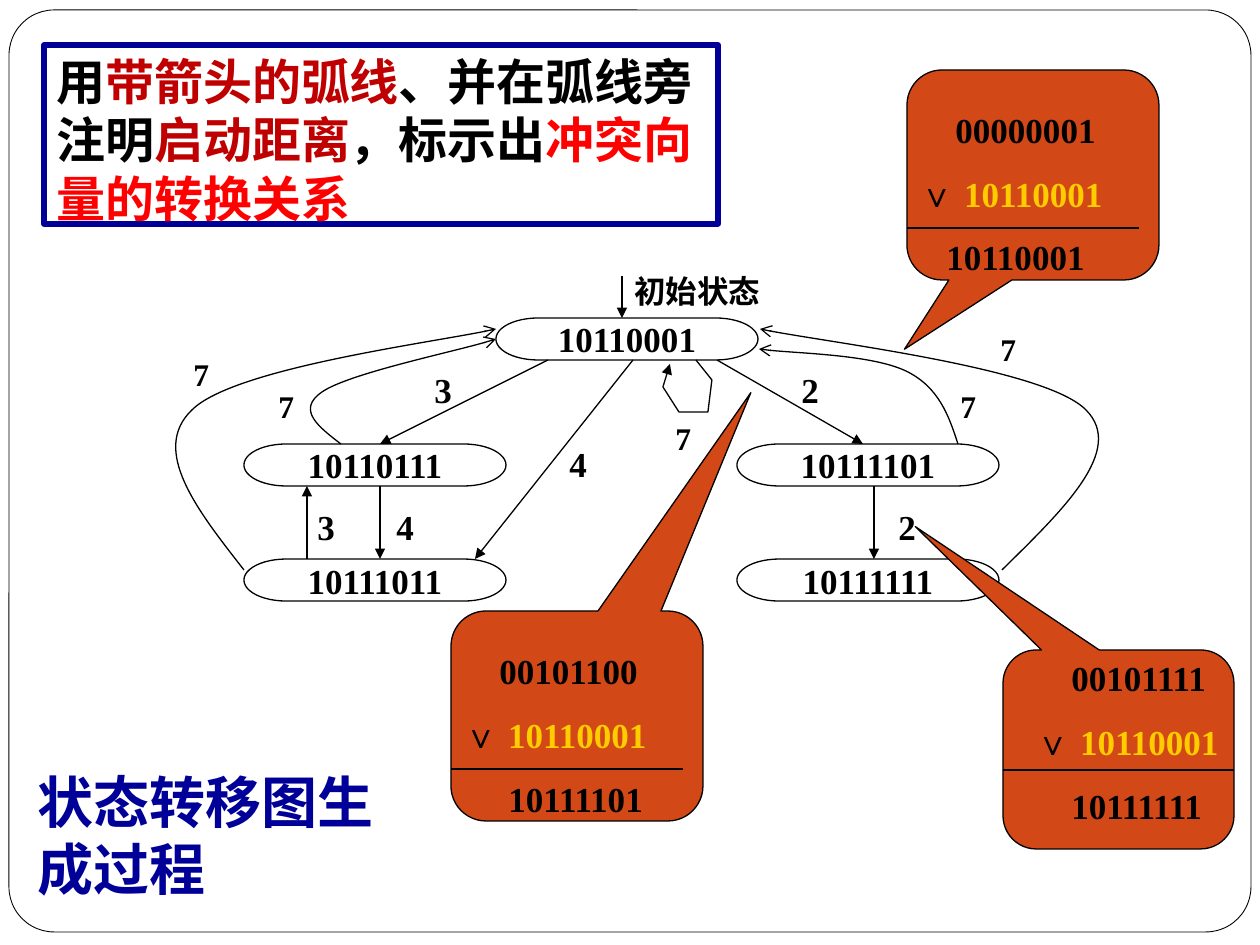
import pptx
import pptx.dml.color
import pptx.enum.shapes
import pptx.enum.text
import pptx.oxml.ns
import pptx.util
from lxml import etree

EMU_PER_PX = 914400 / 126
BLACK = pptx.dml.color.RGBColor(0x00, 0x00, 0x00)
WHITE = pptx.dml.color.RGBColor(0xFF, 0xFF, 0xFF)
NAVY = pptx.dml.color.RGBColor(0x00, 0x00, 0x99)
DARK_RED = pptx.dml.color.RGBColor(0xC0, 0x00, 0x00)
RED = pptx.dml.color.RGBColor(0xFF, 0x00, 0x00)
ORANGE = pptx.dml.color.RGBColor(0xD3, 0x48, 0x17)
YELLOW = pptx.dml.color.RGBColor(0xFF, 0xCC, 0x00)
SERIF = "Times New Roman"
SPACE_PX = 9
NODE_WIDTH, NODE_HEIGHT = 262, 42
SHAPES = pptx.enum.shapes.MSO_SHAPE
qn = pptx.oxml.ns.qn


def px(length):
    return pptx.util.Emu(round(length * EMU_PER_PX))


def style_font(font, size, color=BLACK, name=SERIF):
    font.name = name
    font.size = pptx.util.Pt(size)
    font.bold = True
    font.color.rgb = color


def style_outline(line, width=0.75, color=BLACK):
    line.width = pptx.util.Pt(width)
    line.color.rgb = color


def add_tip(route, kind):
    outline = route._element.spPr.find(qn("a:ln"))
    etree.SubElement(outline, qn("a:tailEnd"), type=kind)


def add_preset(shapes, preset, box, fill=None, adjustments=()):
    shape = shapes.add_shape(preset, *map(px, box))
    shape.shadow.inherit = False
    if fill is None:
        shape.fill.background()
    else:
        shape.fill.solid()
        shape.fill.fore_color.rgb = fill
    style_outline(shape.line)
    for index, value in enumerate(adjustments):
        shape.adjustments[index] = value
    return shape


def add_line(shapes, start, end, tip=None):
    line = shapes.add_connector(
        pptx.enum.shapes.MSO_CONNECTOR.STRAIGHT, *map(px, start + end))
    style_outline(line.line)
    if tip:
        add_tip(line, tip)
    etree.SubElement(line._element.spPr, qn("a:effectLst"))


def add_route(shapes, points, tip, curved):
    builder = shapes.build_freeform(*points[0], scale=EMU_PER_PX)
    builder.add_line_segments(points[1:], close=False)
    route = builder.convert_to_shape()
    route.shadow.inherit = False
    route.fill.background()
    style_outline(route.line)
    add_tip(route, tip)
    if curved:
        outline = route._element.find(".//" + qn("a:path"))
        segments = outline.findall(qn("a:lnTo"))
        for first in range(0, len(segments), 3):
            curve = etree.SubElement(outline, qn("a:cubicBezTo"))
            for segment in segments[first:first + 3]:
                curve.append(segment[0])
                outline.remove(segment)


def add_text(shapes, box, text, size, wrap=False, color=BLACK, name=SERIF):
    label = shapes.add_textbox(*map(px, box))
    label.text_frame.word_wrap = wrap
    label.text_frame.auto_size = pptx.enum.text.MSO_AUTO_SIZE.SHAPE_TO_FIT_TEXT
    paragraph = label.text_frame.paragraphs[0]
    paragraph.text = text
    style_font(paragraph.font, size, color, name)


def add_state(shapes, left, top, vector):
    state = add_preset(shapes, SHAPES.FLOWCHART_TERMINATOR,
                       (left, top, NODE_WIDTH, NODE_HEIGHT))
    state.text_frame.word_wrap = False
    state.text_frame.vertical_anchor = pptx.enum.text.MSO_ANCHOR.MIDDLE
    paragraph = state.text_frame.paragraphs[0]
    paragraph.text = vector
    paragraph.alignment = pptx.enum.text.PP_ALIGN.CENTER
    style_font(paragraph.font, 20)


def add_or_callout(shapes, box, pointer, text_offset, rule, shifted, result, result_indent):
    left, top = box[:2]
    rule_top, rule_width = rule
    members = shapes.add_group_shape().shapes
    add_preset(members, SHAPES.ROUNDED_RECTANGULAR_CALLOUT, box, ORANGE, pointer + (0.167,))
    sums = members.add_textbox(
        px(left + text_offset[0]), px(top + text_offset[1]), px(242), px(183))
    frame = sums.text_frame
    frame.word_wrap = True
    rows = (
        (4, [(shifted, SERIF, BLACK)]),
        (0, [("∨ ", "Arial", BLACK), ("10110001", SERIF, YELLOW)]),
        (result_indent, [(result, SERIF, BLACK)]),
    )
    for index, (indent, pieces) in enumerate(rows):
        paragraph = frame.add_paragraph() if index else frame.paragraphs[0]
        if index:
            paragraph.space_before = pptx.util.Pt(12.5)
        paragraph._p.get_or_add_pPr().set("marL", str(px(indent * SPACE_PX)))
        for text, name, color in pieces:
            run = paragraph.add_run()
            run.text = text
            style_font(run.font, 20, color, name)
    add_line(members, (left, top + rule_top), (left + rule_width, top + rule_top))


def add_explanation(shapes):
    panel = add_preset(shapes, SHAPES.RECTANGLE, (44, 45, 674, 179))
    style_outline(panel.line, 3, NAVY)
    panel.text_frame.word_wrap = True
    panel.text_frame.vertical_anchor = pptx.enum.text.MSO_ANCHOR.TOP
    paragraph = panel.text_frame.paragraphs[0]
    paragraph.alignment = pptx.enum.text.PP_ALIGN.LEFT
    for text, color in (
        ("用", BLACK), ("带箭头的弧线", DARK_RED), ("、并在弧线旁注明", BLACK),
        ("启动距离", DARK_RED), ("，标示出", BLACK), ("冲突向量的转换关系", RED),
    ):
        run = paragraph.add_run()
        run.text = text
        style_font(run.font, 28, color)


def main():
    deck = pptx.Presentation()
    deck.slide_width, deck.slide_height = px(1260), px(945)
    shapes = deck.slides.add_slide(deck.slide_layouts[6]).shapes

    frame = add_preset(shapes, SHAPES.ROUNDED_RECTANGLE, (9, 10, 1242, 922), WHITE, (0.049,))
    style_outline(frame.line, 0.5)

    for left, top, vector in (
        (496, 318, "10110001"),
        (244, 444, "10110111"), (737, 444, "10111101"),
        (244, 559, "10111011"), (737, 559, "10111111"),
    ):
        add_state(shapes, left, top, vector)
    add_text(shapes, (622, 266, 151, 50), "初始状态", 18)

    for start, end in (
        ((622, 276), (622, 318)),
        ((380, 486), (380, 559)), ((307, 559), (307, 486)),
        ((633, 360), (475, 559)), ((717, 360), (863, 444)),
        ((874, 486), (874, 559)), ((548, 360), (380, 444)),
    ):
        add_line(shapes, start, end, "triangle")

    for points in (
        ((341, 444), (319, 427), (296, 410), (322, 392), (348, 374), (467, 349), (496, 339)),
        ((244, 570), (197, 510), (150, 450), (192, 410), (233, 369), (445, 341), (496, 329)),
        ((958, 444), (949, 416), (939, 387), (906, 371), (872, 355), (784, 353), (759, 349)),
        ((1002, 570), (1063, 510), (1126, 450), (1086, 410), (1046, 369), (815, 341), (760, 329)),
    ):
        add_route(shapes, points, "arrow", True)
    self_loop = ((696, 360), (712, 380), (708, 412), (679, 412), (663, 387), (670, 364))
    add_route(shapes, self_loop, "triangle", False)

    for left, top, distance in (
        (422, 362, "3"), (557, 436, "4"), (305, 499, "3"),
        (384, 499, "4"), (886, 499, "2"), (789, 362, "2"),
    ):
        add_text(shapes, (left, top, 43, 55), distance, 20)
    for left, top in ((988, 324), (948, 381), (181, 349), (266, 381), (663, 413)):
        add_text(shapes, (left, top, 40, 50), "7", 18)

    add_or_callout(shapes, (907, 70, 252, 210), (-0.51, 0.83), (0, 32), (158, 232),
                   "00000001", "10110001", 3)
    add_or_callout(shapes, (451, 611, 252, 210), (0.69, -1.54), (0, 32), (158, 232),
                   "00101100", "10111101", 5)
    add_or_callout(shapes, (1003, 650, 231, 199), (-0.88, -1.12), (20, 0), (120, 231),
                   "00101111", "10111111", 4)

    add_text(shapes, (25, 761, 397, 147), "状态转移图生成过程", 32, True, NAVY,
             "Noto Sans CJK SC")
    add_explanation(shapes)
    deck.save("out.pptx")


if __name__ == "__main__":
    main()
